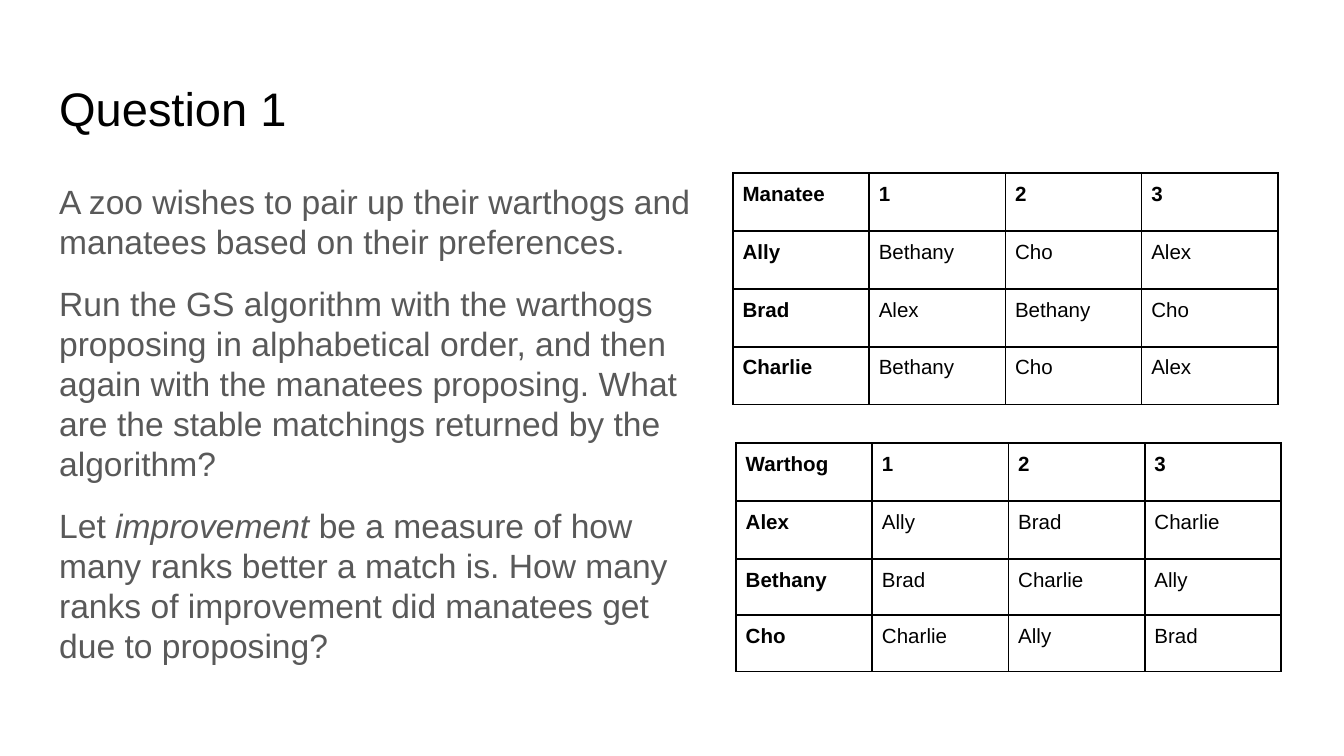
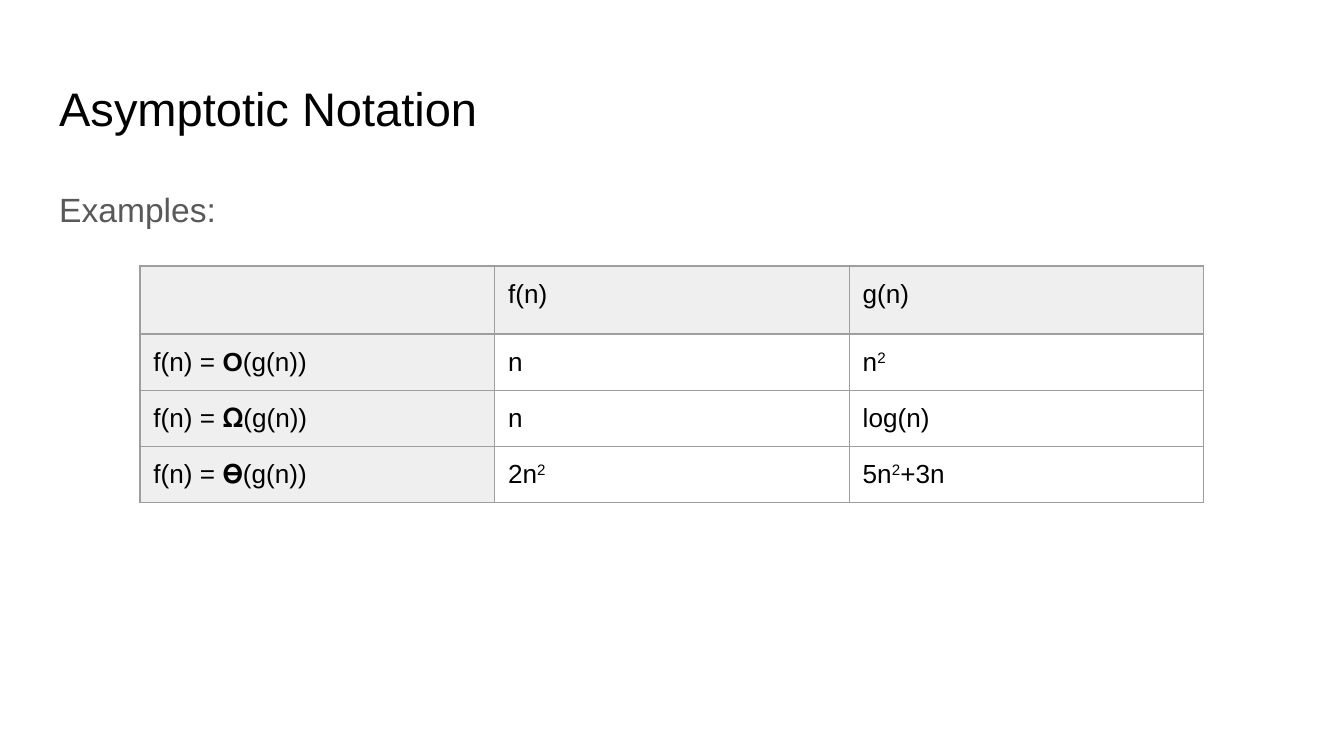
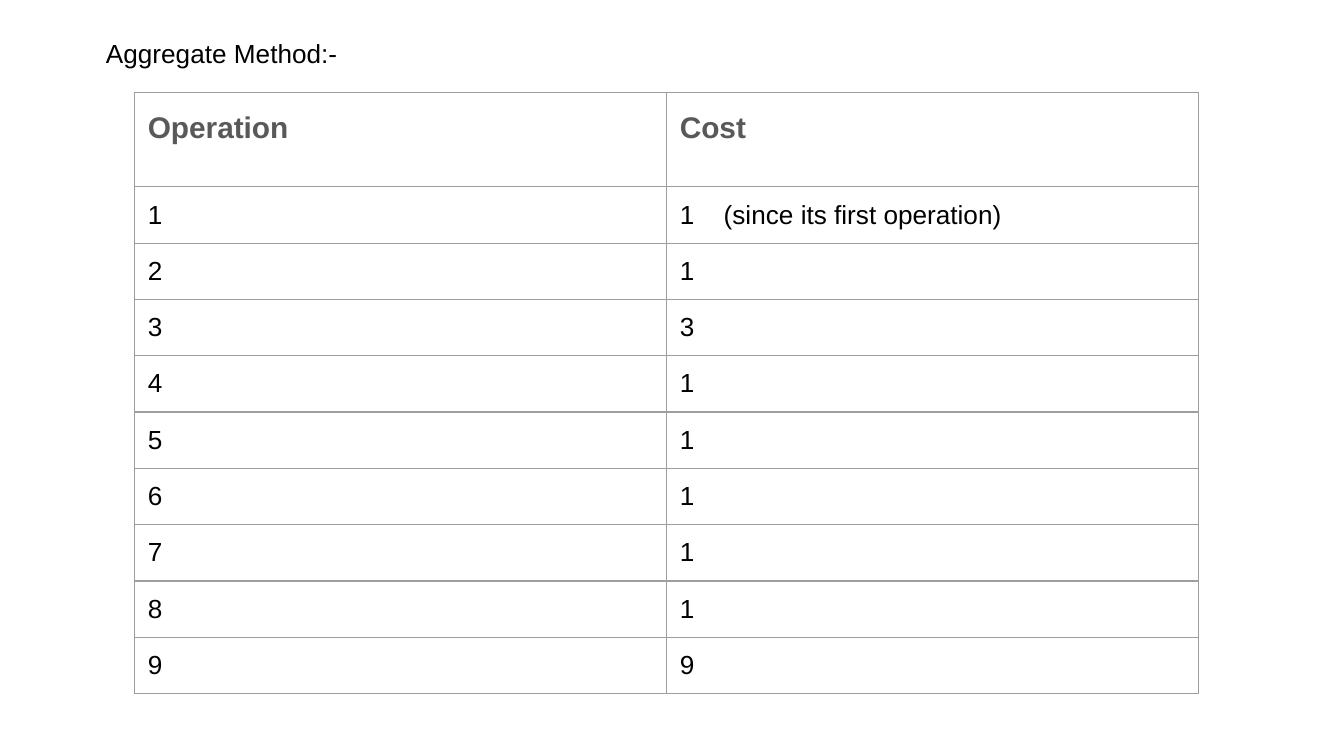
from dataclasses import dataclass

from lxml.etree import SubElement
from pptx import Presentation
from pptx.dml.color import RGBColor
from pptx.enum.text import MSO_ANCHOR, MSO_AUTO_SIZE, PP_ALIGN
from pptx.oxml.ns import qn
from pptx.util import Pt

FONT = "Arial"
BLACK = "000000"
BODY_GREY = "595959"
BORDER_GREY = "9E9E9E"
HEADER_GREY = "EFEFEF"
TITLE_BOX = (24.5, 35.3, 671, 45.1)
BODY_TOP = 90.7
BODY_HEIGHT = 269
TITLE_AND_CONTENT, BLANK = 1, 6


@dataclass
class TableStyle:
    border: str
    border_width: float
    font_size: float
    margin: float


PREFERENCE_STYLE = TableStyle(BLACK, 1, 11, 5.2)
GRID_STYLE = TableStyle(BORDER_GREY, 0.75, 14, 7.2)


def color(hex_value):
    return RGBColor.from_string(hex_value)


def format_font(font, size, hex_value, bold=False, italic=False):
    font.name = FONT
    font.size = Pt(size)
    font.bold = bold
    font.italic = italic
    font.color.rgb = color(hex_value)


def write_runs(paragraph, content, size, hex_value, bold=False):
    pieces = [(content, "")] if isinstance(content, str) else content
    for text, emphasis in pieces:
        run = paragraph.add_run()
        run.text = text
        format_font(run.font, size, hex_value,
                    bold or emphasis == "bold", emphasis == "italic")
        if emphasis == "superscript":
            run.font._element.set("baseline", "30000")


def set_margins(target, margin):
    target.margin_left = target.margin_right = Pt(margin)
    target.margin_top = target.margin_bottom = Pt(margin)


def place(shape, box):
    shape.left, shape.top, shape.width, shape.height = map(Pt, box)
    text_frame = shape.text_frame
    text_frame.word_wrap = True
    text_frame.auto_size = MSO_AUTO_SIZE.NONE
    set_margins(text_frame, 7.2)
    return text_frame


def add_title(slide, text):
    text_frame = place(slide.shapes.title, TITLE_BOX)
    text_frame.vertical_anchor = MSO_ANCHOR.MIDDLE
    paragraph = text_frame.paragraphs[0]
    paragraph.alignment = PP_ALIGN.LEFT
    write_runs(paragraph, text, 25.2, BLACK)


def add_body(slide, width, paragraphs, line_spacing):
    text_frame = place(slide.placeholders[1],
                       (TITLE_BOX[0], BODY_TOP, width, BODY_HEIGHT))
    text_frame.vertical_anchor = MSO_ANCHOR.TOP
    for index, content in enumerate(paragraphs):
        paragraph = text_frame.add_paragraph() if index else text_frame.paragraphs[0]
        paragraph.line_spacing = line_spacing
        paragraph.space_before = Pt(12 if index else 0)
        properties = paragraph._p.get_or_add_pPr()
        properties.set("marL", "0")
        properties.set("indent", "0")
        SubElement(properties, qn("a:buNone"))
        write_runs(paragraph, content, 18, BODY_GREY)
    paragraph.space_after = Pt(12)


def add_borders(cell, style):
    properties = cell._tc.get_or_add_tcPr()
    for side in ("lnL", "lnR", "lnT", "lnB"):
        line = SubElement(properties, qn(f"a:{side}"), w=str(Pt(style.border_width)))
        fill = SubElement(line, qn("a:solidFill"))
        SubElement(fill, qn("a:srgbClr"), val=style.border)


def add_grid(slide, left, top, column_width, row_heights, rows, style):
    column_count = len(rows[0])
    frame = slide.shapes.add_table(
        len(rows), column_count, Pt(left), Pt(top),
        Pt(column_width * column_count), Pt(sum(row_heights)))
    table = frame.table
    table.first_row = table.horz_banding = False
    for column in table.columns:
        column.width = Pt(column_width)
    for row, height in zip(table.rows, row_heights):
        row.height = Pt(height)
    for cell in table.iter_cells():
        set_margins(cell, style.margin)
        add_borders(cell, style)
        cell.fill.background()
    return table


def fill_cells(table, rows, style, is_bold=lambda row, column: False):
    for row, contents in enumerate(rows):
        for column, content in enumerate(contents):
            if content:
                paragraph = table.cell(row, column).text_frame.paragraphs[0]
                write_runs(paragraph, content, style.font_size, BLACK,
                           is_bold(row, column))


def add_preferences(slide, left, top, row_heights, animal, choices):
    rows = [[animal, "1", "2", "3"]]
    rows += [[name, *ranked] for name, ranked in choices.items()]
    table = add_grid(slide, left, top, 73, row_heights, rows, PREFERENCE_STYLE)
    fill_cells(table, rows, PREFERENCE_STYLE,
               lambda row, column: row == 0 or column == 0)


def build_question(presentation):
    slide = presentation.slides.add_slide(presentation.slide_layouts[TITLE_AND_CONTENT])
    add_title(slide, "Question 1")
    add_body(slide, 354.3, [
        "A zoo wishes to pair up their warthogs and manatees based on their preferences.",
        "Run the GS algorithm with the warthogs proposing in alphabetical order, and then "
        "again with the manatees proposing. What are the stable matchings returned by the "
        "algorithm?",
        [("Let ", ""), ("improvement ", "italic"),
         ("be a measure of how many ranks better a match is. How many ranks of "
          "improvement did manatees get due to proposing?", "")],
    ], 0.99)
    add_preferences(slide, 392.6, 92.8, [31] * 4, "Manatee", {
        "Ally": ["Bethany", "Cho", "Alex"],
        "Brad": ["Alex", "Bethany", "Cho"],
        "Charlie": ["Bethany", "Cho", "Alex"],
    })
    add_preferences(slide, 394.3, 237.4, [31, 31, 30.2, 30.2], "Warthog", {
        "Alex": ["Ally", "Brad", "Charlie"],
        "Bethany": ["Brad", "Charlie", "Ally"],
        "Cho": ["Charlie", "Ally", "Brad"],
    })


def build_notation(presentation):
    slide = presentation.slides.add_slide(presentation.slide_layouts[TITLE_AND_CONTENT])
    add_title(slide, "Asymptotic Notation")
    add_body(slide, TITLE_BOX[2], ["Examples:"], 1.15)
    square = ("2", "superscript")
    rows = [
        ["", "f(n)", "g(n)"],
        [[("f(n) = ", ""), ("O", "bold"), ("(g(n))", "")], "n", [("n", ""), square]],
        ["f(n) = 𝛀(g(n))", "n", "log(n)"],
        ["f(n) = 𝚹(g(n))", [("2n", ""), square], [("5n", ""), square, ("+3n", "")]],
    ]
    table = add_grid(slide, 75, 142.5, 190, [34.5, 30.1, 30.1, 30.1], rows, GRID_STYLE)
    fill_cells(table, rows, GRID_STYLE)
    for row in range(len(rows)):
        for column in range(len(rows[0])):
            if row == 0 or column == 0:
                fill = table.cell(row, column).fill
                fill.solid()
                fill.fore_color.rgb = color(HEADER_GREY)


def build_aggregate(presentation):
    slide = presentation.slides.add_slide(presentation.slide_layouts[BLANK])
    costs = ["1\t(since its first operation)", "1", "3", "1", "1", "1", "1", "1", "9"]
    rows = [["", ""]] + [[str(number), cost] for number, cost in enumerate(costs, 1)]
    table = add_grid(slide, 72, 49.7, 285, [50.4] + [30.1] * len(costs), rows, GRID_STYLE)
    for column, heading in enumerate(["Operation", "Cost"]):
        paragraph = table.cell(0, column).text_frame.paragraphs[0]
        paragraph.line_spacing = 1.15
        write_runs(paragraph, heading, 16, BODY_GREY, True)
    fill_cells(table, rows, GRID_STYLE)
    properties = table.cell(1, 1).text_frame.paragraphs[0]._p.get_or_add_pPr()
    tab_stops = SubElement(properties, qn("a:tabLst"))
    SubElement(tab_stops, qn("a:tab"), pos=str(Pt(23.5)), algn="l")
    box = (49.7, 13, 609, 31.7)
    caption = slide.shapes.add_textbox(*map(Pt, box))
    text_frame = place(caption, box)
    write_runs(text_frame.paragraphs[0], "Aggregate Method:-", 14, BLACK)


def main():
    presentation = Presentation()
    presentation.slide_width = Pt(720)
    presentation.slide_height = Pt(405)
    build_question(presentation)
    build_notation(presentation)
    build_aggregate(presentation)
    presentation.save("out.pptx")


if __name__ == "__main__":
    main()
